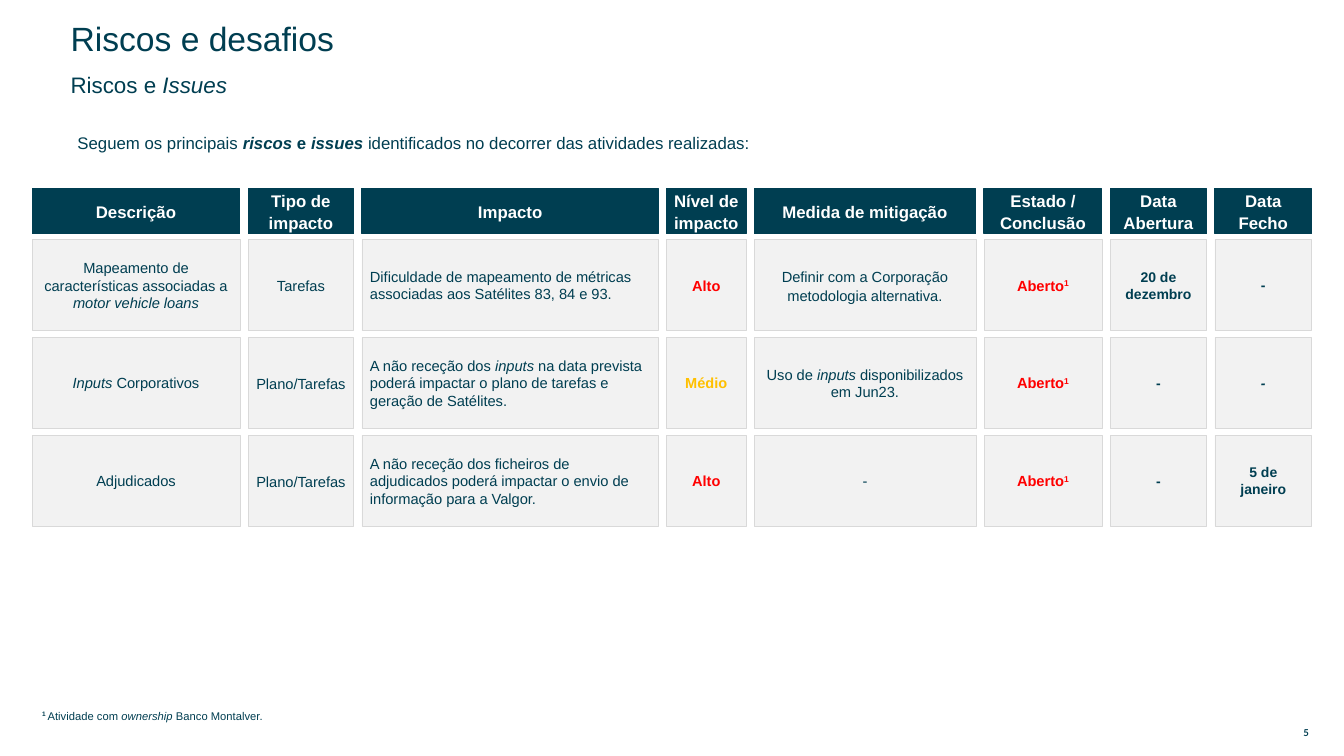
from dataclasses import dataclass

from lxml import etree
from pptx import Presentation
from pptx.dml.color import RGBColor
from pptx.enum.shapes import MSO_SHAPE
from pptx.enum.text import MSO_ANCHOR, MSO_AUTO_SIZE, PP_ALIGN
from pptx.oxml.ns import qn
from pptx.util import Emu, Pt

RECTANGLE = MSO_SHAPE.RECTANGLE
LEFT, CENTER = PP_ALIGN.LEFT, PP_ALIGN.CENTER
TOP, MIDDLE = MSO_ANCHOR.TOP, MSO_ANCHOR.MIDDLE
NO_AUTOSIZE = MSO_AUTO_SIZE.NONE
EMU_PER_PX = 9144  # 100 px to the inch


@dataclass(frozen=True)
class Theme:
    font: str = "Arial"
    number_font: str = "Lato"
    navy: str = "003E51"
    white: str = "FFFFFF"
    cell_fill: str = "F2F2F2"
    cell_line: str = "D9D9D9"
    red: str = "FF0000"
    amber: str = "FFC000"
    title: float = 24
    subtitle: float = 16
    body: float = 12
    cell: float = 10.5
    level: float = 10.4
    date: float = 10
    note: float = 8
    number: float = 6.8


THEME = Theme()


@dataclass(frozen=True)
class Column:
    heading: str
    width: int
    inset: int = 4
    size: float = THEME.cell
    align: PP_ALIGN = CENTER
    spacing: float = 1.0


@dataclass(frozen=True)
class Cell:
    """Runs are (text, style) pairs; a style joins b, i and ^ (superscript)."""
    runs: tuple
    color: str = THEME.navy
    spacing: float | None = None


def plain(text):
    return Cell(((text, ""),))


def bold(text, color=THEME.navy):
    return Cell(((text, "b"),), color)


TABLE_LEFT, HEADER_TOP, HEADER_HEIGHT = 32, 187, 45
ROWS_TOP, ROW_HEIGHT, ROW_STEP, COLUMN_GAP = 238, 90, 97, 8

COLUMNS = (
    Column("Descrição", 206),
    Column("Tipo de impacto", 105, spacing=1.1),
    Column("Impacto", 294, inset=8, align=LEFT),
    Column("Nível de impacto", 79, inset=0, size=THEME.level),
    Column("Medida de mitigação", 220, inset=12),
    Column("Estado / Conclusão", 117, inset=12),
    Column("Data Abertura", 96, inset=12, size=THEME.date),
    Column("Data Fecho", 96, inset=12, size=THEME.date),
)

HIGH = bold("Alto", THEME.red)
MEDIUM = bold("Médio", THEME.amber)
OPEN = Cell((("Aberto", "b"), ("1", "b^")), THEME.red)
NO_DATE = bold("-")

RISKS = (
    (
        Cell((("Mapeamento de características associadas a ", ""),
              ("motor vehicle loans", "i"))),
        plain("Tarefas"),
        plain("Dificuldade de mapeamento de métricas associadas aos "
              "Satélites 83, 84 e 93."),
        HIGH,
        Cell((("Definir com a Corporação metodologia alternativa.", ""),),
             spacing=1.1),
        OPEN, bold("20 de dezembro"), NO_DATE,
    ),
    (
        Cell((("Inputs ", "i"), ("Corporativos", ""))),
        plain("Plano/Tarefas"),
        Cell((("A não receção dos ", ""), ("inputs ", "i"),
              ("na data prevista poderá impactar o plano de tarefas e "
               "geração de Satélites.", ""))),
        MEDIUM,
        Cell((("Uso de ", ""), ("inputs ", "i"),
              ("disponibilizados em Jun23.", ""))),
        OPEN, NO_DATE, Cell((("-", "bi"),)),
    ),
    (
        plain("Adjudicados"),
        plain("Plano/Tarefas"),
        plain("A não receção dos ficheiros de adjudicados poderá impactar "
              "o envio de informação para a Valgor."),
        HIGH, plain("-"), OPEN, NO_DATE, bold("5 de janeiro"),
    ),
)


def px(*lengths):
    return [Emu(length * EMU_PER_PX) for length in lengths]


def write(shape, runs, size, color=THEME.navy, align=LEFT, anchor=MIDDLE,
          spacing=1.0, insets=(10, 5), font=THEME.font):
    """Fill the shape's single paragraph; insets are (sides, top and bottom)."""
    frame = shape.text_frame
    frame.word_wrap = True
    frame.auto_size = NO_AUTOSIZE
    frame.vertical_anchor = anchor
    side, edge = px(*insets)
    frame.margin_left = frame.margin_right = side
    frame.margin_top = frame.margin_bottom = edge
    paragraph = frame.paragraphs[0]
    paragraph.alignment = align
    paragraph.line_spacing = spacing
    paragraph.space_before = Pt(0)
    for text, style in runs:
        run = paragraph.add_run()
        run.text = text
        run.font.name = font
        run.font.size = Pt(size)
        run.font.color.rgb = RGBColor.from_string(color)
        run.font.bold = "b" in style
        run.font.italic = "i" in style
        if "^" in style:
            run.font._element.set("baseline", "30000")


def place(shape, box):
    shape.left, shape.top, shape.width, shape.height = px(*box)


def remove_bullet(shape):
    properties = shape.text_frame.paragraphs[0]._p.get_or_add_pPr()
    properties.set("marL", "0")
    properties.set("indent", "0")
    etree.SubElement(properties, qn("a:buNone"))


def add_text(slide, box, runs, size, **formatting):
    write(slide.shapes.add_textbox(*px(*box)), runs, size, **formatting)


def add_box(slide, box, fill, line, line_width, runs, size, **formatting):
    shape = slide.shapes.add_shape(RECTANGLE, *px(*box))
    shape.shadow.inherit = False
    shape.fill.solid()
    shape.fill.fore_color.rgb = RGBColor.from_string(fill)
    shape.line.color.rgb = RGBColor.from_string(line)
    shape.line.width = Pt(line_width)
    write(shape, runs, size, **formatting)


def add_headings(slide):
    title, subtitle = slide.shapes.title, slide.placeholders[1]
    place(title, (60, 27, 795, 26))
    write(title, [("Riscos e desafios", "")], THEME.title, spacing=0.9)
    place(subtitle, (60, 73, 766, 26))
    remove_bullet(subtitle)
    write(subtitle, [("Riscos e ", ""), ("Issues", "i")], THEME.subtitle,
          spacing=0.9)


def add_risk_grid(slide):
    left = TABLE_LEFT
    for index, column in enumerate(COLUMNS):
        add_box(slide, (left, HEADER_TOP, column.width, HEADER_HEIGHT),
                THEME.navy, THEME.navy, 0.75, [(column.heading, "b")],
                THEME.body, color=THEME.white, align=CENTER, spacing=1.1,
                insets=(4, 4))
        for row, risk in enumerate(RISKS):
            cell = risk[index]
            top = ROWS_TOP + row * ROW_STEP
            add_box(slide, (left, top, column.width, ROW_HEIGHT),
                    THEME.cell_fill, THEME.cell_line, 0.5, cell.runs,
                    column.size, color=cell.color, align=column.align,
                    spacing=cell.spacing or column.spacing,
                    insets=(column.inset, 4))
        left += column.width + COLUMN_GAP


def main():
    presentation = Presentation()
    presentation.slide_width, presentation.slide_height = px(1333, 750)
    slide = presentation.slides.add_slide(presentation.slide_layouts[1])
    add_headings(slide)
    add_text(slide, (67, 127, 1215, 44),
             [("Seguem os principais ", ""), ("riscos ", "bi"), ("e ", "b"),
              ("issues ", "bi"),
              ("identificados no decorrer das atividades realizadas:", "")],
             THEME.body, anchor=TOP)
    add_risk_grid(slide)
    add_text(slide, (32, 697, 1176, 25),
             [("1 ", "b^"), ("Atividade com ", ""), ("ownership", "i"),
              (" Banco Montalver.", "")],
             THEME.note, anchor=TOP, spacing=1.1)
    add_text(slide, (1273, 719, 45, 16), [("5", "b")], THEME.number,
             align=CENTER, insets=(6, 3), font=THEME.number_font)
    presentation.save("out.pptx")


if __name__ == "__main__":
    main()
